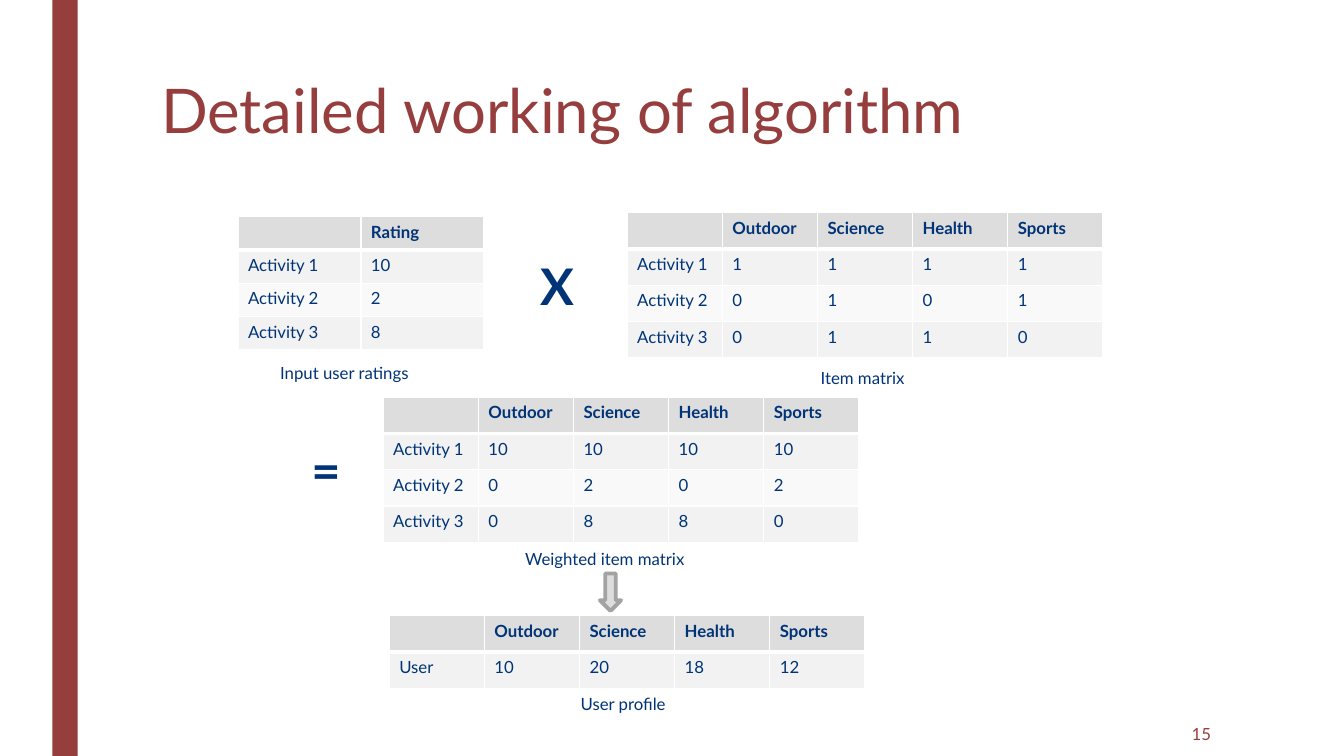
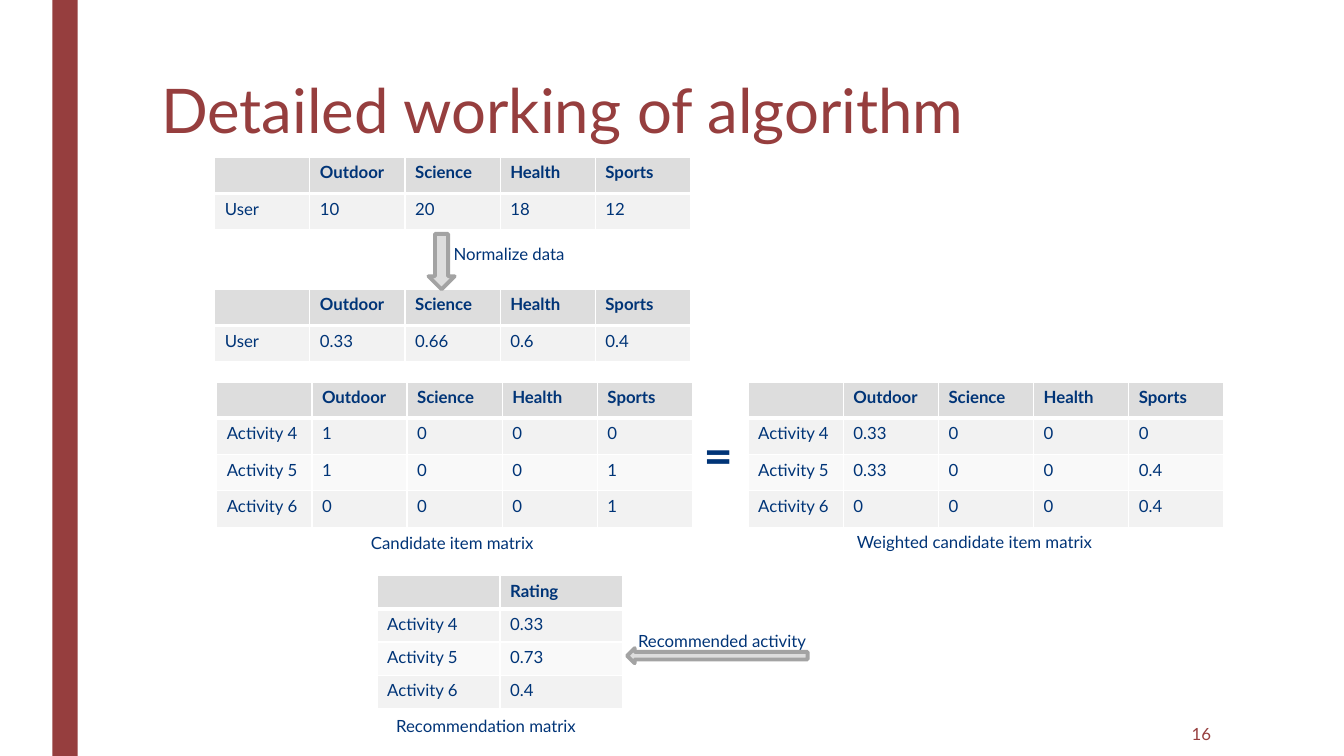
"""Build two slides that show how a recommendation algorithm works, step by step."""
import lxml.etree
import pptx
import pptx.dml.color
import pptx.enum.shapes
import pptx.enum.text
import pptx.oxml.ns
import pptx.util

SLIDE_W, SLIDE_H = 13.33, 7.5
FONT = "Lato"
RED, NAVY, WHITE = "963E3E", "003477", "FFFFFF"
HEADER, ODD, EVEN, OUTLINE = "DDDDDD", "F2F2F2", "F9F9F9", "A3A3A3"
TITLE = "Detailed working of algorithm"

TOPICS = ["", "Outdoor", "Science", "Health", "Sports"]
RATING = ["", "Rating"]
TOPIC_GRID = (0.944, 0.36)
RATING_GRID = (1.22, 0.33)
USER_PROFILE = [TOPICS, ["User", 10, 20, 18, 12]]

SLIDES = [
    {
        "number": 15,
        "tables": [
            (2.36, 2.15, RATING_GRID, [
                RATING, ["Activity 1", 10], ["Activity 2", 2], ["Activity 3", 8]]),
            (6.22, 2.11, TOPIC_GRID, [
                TOPICS,
                ["Activity 1", 1, 1, 1, 1],
                ["Activity 2", 0, 1, 0, 1],
                ["Activity 3", 0, 1, 1, 0]]),
            (3.8, 3.94, TOPIC_GRID, [
                TOPICS,
                ["Activity 1", 10, 10, 10, 10],
                ["Activity 2", 0, 2, 0, 2],
                ["Activity 3", 0, 8, 8, 0]]),
            (3.86, 6.11, TOPIC_GRID, USER_PROFILE),
        ],
        "captions": [
            ("Input user ratings", 2.68, 3.55, 1.61),
            ("Item matrix", 8.04, 3.6, 1.61),
            ("Weighted item matrix", 5.11, 5.39, 2.1),
            ("User profile", 5.66, 6.83, 1.11),
        ],
        "operators": [("X", 5.26, 2.48), ("=", 2.99, 4.31)],
        "arrows": [(5.95, 5.69, 0.21, 0.37, 0)],
    },
    {
        "number": 16,
        "tables": [
            (2.13, 1.56, TOPIC_GRID, USER_PROFILE),
            (2.13, 2.87, TOPIC_GRID, [TOPICS, ["User", 0.33, 0.66, 0.6, 0.4]]),
            (2.15, 3.79, TOPIC_GRID, [
                TOPICS,
                ["Activity 4", 1, 0, 0, 0],
                ["Activity 5", 1, 0, 0, 1],
                ["Activity 6", 0, 0, 0, 1]]),
            (7.42, 3.79, TOPIC_GRID, [
                TOPICS,
                ["Activity 4", 0.33, 0, 0, 0],
                ["Activity 5", 0.33, 0, 0, 0.4],
                ["Activity 6", 0, 0, 0, 0.4]]),
            (3.74, 5.71, RATING_GRID, [
                RATING, ["Activity 4", 0.33], ["Activity 5", 0.73], ["Activity 6", 0.4]]),
        ],
        "captions": [
            ("Normalize data", 4.4, 2.37, 2.1),
            ("Candidate item matrix", 3.58, 5.24, 2.02),
            ("Weighted candidate item matrix", 8.4, 5.23, 2.77),
            ("Recommendation matrix", 3.83, 7.05, 2.25),
            ("Recommended activity", 6.23, 6.21, 2.77),
        ],
        "operators": [("=", 6.88, 4.16)],
        "arrows": [(4.25, 2.32, 0.26, 0.55, 0), (7.04, 5.61, 0.15, 1.79, 90)],
    },
]


def rgb(value):
    return pptx.dml.color.RGBColor.from_string(value)


def inches(*values):
    return [pptx.util.Inches(v) for v in values]


def style_text(p, size, color, bold=False):
    for r in p.runs:
        r.font.name = FONT
        r.font.size = pptx.util.Pt(size)
        r.font.bold = bold
        r.font.color.rgb = rgb(color)


def add_text(s, text, box, size, color, bold=False, wrap=True):
    tf = s.shapes.add_textbox(*inches(*box)).text_frame
    tf.word_wrap = wrap
    tf.text = text
    style_text(tf.paragraphs[0], size, color, bold)
    return tf


def add_shape(s, kind, box, fill, line=None):
    sp = s.shapes.add_shape(kind, *inches(*box))
    sp.shadow.inherit = False
    sp.fill.solid()
    sp.fill.fore_color.rgb = rgb(fill)
    if line:
        sp.line.color.rgb = rgb(line)
        sp.line.width = pptx.util.Pt(2.75)
    else:
        sp.line.fill.background()
    return sp


def set_borders(cell, top, bottom):
    qn = pptx.oxml.ns.qn
    tc_pr = cell._tc.get_or_add_tcPr()
    for i, (side, width) in enumerate(zip("LRTB", (1, 1, top, bottom))):
        ln = lxml.etree.Element(qn("a:ln" + side), w=str(pptx.util.Pt(width)))
        fill = lxml.etree.SubElement(ln, qn("a:solidFill"))
        lxml.etree.SubElement(fill, qn("a:srgbClr"), val=WHITE)
        tc_pr.insert(i, ln)


def add_matrix(s, left, top, grid, rows):
    col_w, row_h = grid
    n_rows, n_cols = len(rows), len(rows[0])
    box = inches(left, top, col_w * n_cols, row_h * n_rows)
    table = s.shapes.add_table(n_rows, n_cols, *box).table
    for col in table.columns:
        col.width = pptx.util.Inches(col_w)
    for i, values in enumerate(rows):
        table.rows[i].height = pptx.util.Inches(row_h)
        for j, value in enumerate(values):
            cell = table.cell(i, j)
            cell.text = str(value)
            p = cell.text_frame.paragraphs[0]
            style_text(p, 12, NAVY, bold=i == 0)
            if not p.runs:
                lxml.etree.SubElement(p._p, pptx.oxml.ns.qn("a:endParaRPr"), sz="1200")
            cell.fill.solid()
            cell.fill.fore_color.rgb = rgb(HEADER if i == 0 else ODD if i % 2 else EVEN)
            set_borders(cell, top=3 if i == 1 else 1, bottom=3 if i == 0 else 1)


def add_frame(s, number):
    shapes = pptx.enum.shapes.MSO_SHAPE
    add_shape(s, shapes.RECTANGLE, (0.52, 0, 0.25, SLIDE_H), RED)
    title = add_text(s, TITLE, (1.5, 0.75, 10.5, 1.62), 44, RED)
    title.paragraphs[0].line_spacing = 0.89
    footer = add_text(s, str(number), (10.36, 7.06, 1.75, 0.44), 12, RED)
    footer.vertical_anchor = pptx.enum.text.MSO_ANCHOR.MIDDLE
    footer.paragraphs[0].alignment = pptx.enum.text.PP_ALIGN.RIGHT


def build_slide(prs, content):
    s = prs.slides.add_slide(prs.slide_layouts[6])
    add_frame(s, content["number"])
    for matrix in content["tables"]:
        add_matrix(s, *matrix)
    for *box, angle in content["arrows"]:
        arrow = add_shape(s, pptx.enum.shapes.MSO_SHAPE.DOWN_ARROW, box, HEADER, OUTLINE)
        arrow.rotation = angle
    for text, left, top, width in content["captions"]:
        add_text(s, text, (left, top, width, 0.3), 12, NAVY)
    for text, left, top in content["operators"]:
        add_text(s, text, (left, top, 0.5, 0.71), 36, NAVY, bold=True, wrap=False)


def main():
    prs = pptx.Presentation()
    prs.slide_width, prs.slide_height = inches(SLIDE_W, SLIDE_H)
    for content in SLIDES:
        build_slide(prs, content)
    prs.save("out.pptx")


if __name__ == "__main__":
    main()
